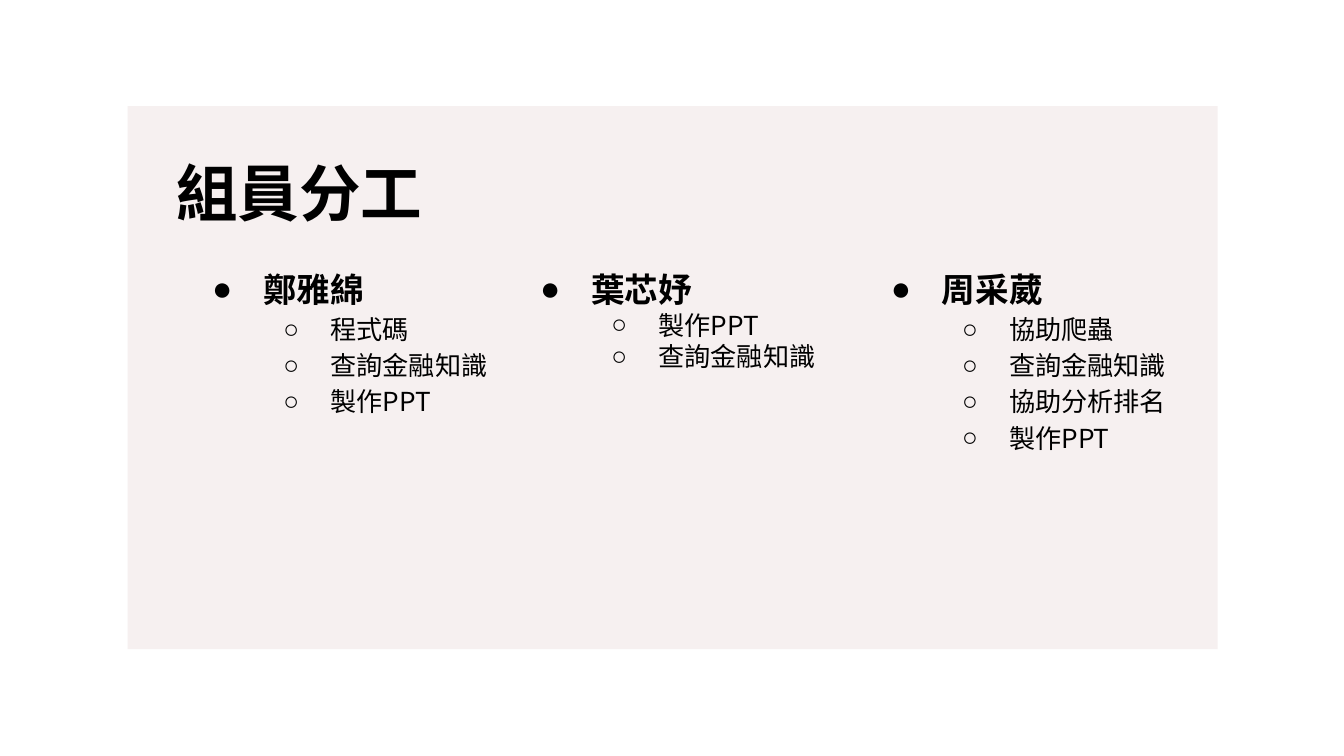
from lxml import etree
from pptx import Presentation
from pptx.dml.color import RGBColor
from pptx.enum import shapes, text
from pptx.oxml import ns
from pptx.util import Inches, Pt

BLACK = RGBColor(0x00, 0x00, 0x00)
PANEL_PINK = RGBColor(0xF6, 0xF0, 0xF0)
CJK_FONT = "Noto Sans CJK TC"
LATIN_FONT = "Arial"

MEMBERS = [
    (1.36, 1.70, 1.15, "鄭雅綿", ["程式碼", "查詢金融知識", "製作PPT"]),
    (3.80, 1.01, 1.0, "葉芯妤", ["製作PPT", "查詢金融知識"]),
    (6.41, 1.55, 1.15, "周采葳", ["協助爬蟲", "查詢金融知識", "協助分析排名", "製作PPT"]),
]


def write(paragraph, wording, size, font=CJK_FONT, bold=False, color=BLACK):
    """Add a formatted run to a paragraph."""
    run = paragraph.add_run()
    run.text = wording
    run.font.size = Pt(size)
    run.font.name = font
    run.font.bold = bold
    run.font.color.rgb = color
    east_asian = etree.SubElement(run.font._element, ns.qn("a:ea"))
    east_asian.set("typeface", CJK_FONT)


def set_bullet(paragraph, mark, left, hanging):
    """Give a paragraph a black bullet and a hanging indent."""
    properties = paragraph._p.get_or_add_pPr()
    properties.set("marL", str(Inches(left)))
    properties.set("indent", str(-Inches(hanging)))
    bullet_color = etree.SubElement(properties, ns.qn("a:buClr"))
    etree.SubElement(bullet_color, ns.qn("a:srgbClr")).set("val", str(BLACK))
    etree.SubElement(properties, ns.qn("a:buFont")).set("typeface", LATIN_FONT)
    etree.SubElement(properties, ns.qn("a:buChar")).set("char", mark)


def set_margins(frame, horizontal, vertical):
    """Set the inner margins of a text frame."""
    frame.margin_left = frame.margin_right = Inches(horizontal)
    frame.margin_top = frame.margin_bottom = Inches(vertical)


def round_ends(shape):
    """Give a placeholder fully rounded ends."""
    geometry = etree.SubElement(shape._element.spPr, ns.qn("a:prstGeom"))
    geometry.set("prst", "roundRect")
    etree.SubElement(geometry, ns.qn("a:avLst"))
    shape.adjustments[0] = 0.5


def add_panel(slide, left, top, width, height):
    """Place the tinted panel behind the title."""
    panel = slide.shapes.add_shape(
        shapes.MSO_SHAPE.RECTANGLE,
        Inches(left), Inches(top), Inches(width), Inches(height))
    panel.shadow.inherit = False
    panel.fill.solid()
    panel.fill.fore_color.rgb = PANEL_PINK
    panel.line.fill.background()
    slide.shapes.title._element.addprevious(panel._element)


def place_title(slide, wording, left, top, width, height):
    """Move and format the title placeholder."""
    title = slide.shapes.title
    title.left, title.top = Inches(left), Inches(top)
    title.width, title.height = Inches(width), Inches(height)
    round_ends(title)
    frame = title.text_frame
    frame.word_wrap = True
    frame.auto_size = text.MSO_AUTO_SIZE.NONE
    frame.vertical_anchor = text.MSO_ANCHOR.MIDDLE
    set_margins(frame, 0.07, 0.04)
    heading = frame.paragraphs[0]
    heading.alignment = text.PP_ALIGN.JUSTIFY
    write(heading, wording, size=33, font=LATIN_FONT, bold=True)


def add_member(slide, name, tasks, spacing, left, top, width, height):
    """Place one member's name with the list of tasks below it."""
    box = slide.shapes.add_textbox(
        Inches(left), Inches(top), Inches(width), Inches(height))
    frame = box.text_frame
    frame.word_wrap = True
    frame.auto_size = text.MSO_AUTO_SIZE.SHAPE_TO_FIT_TEXT
    set_margins(frame, 0.1, 0.1)
    member = frame.paragraphs[0]
    set_bullet(member, "●", 0.5, 0.38)
    write(member, name, size=18, bold=True)
    for task in tasks:
        item = frame.add_paragraph()
        item.level = 1
        item.line_spacing = spacing
        set_bullet(item, "○", 1, 0.35)
        write(item, task, size=14)


def main():
    """Build the slide on the division of work."""
    deck = Presentation()
    deck.slide_width = Inches(10)
    deck.slide_height = deck.slide_width * 9 // 16
    slide = deck.slides.add_slide(deck.slide_layouts[5])
    add_panel(slide, 0.95, 0.79, 8.11, 4.04)
    place_title(slide, "組員分工", 1.24, 1.11, 3.89, 0.64)
    for left, height, spacing, name, tasks in MEMBERS:
        add_member(slide, name, tasks, spacing, left, 1.9, 3.16, height)
    deck.save("out.pptx")


if __name__ == "__main__":
    main()
